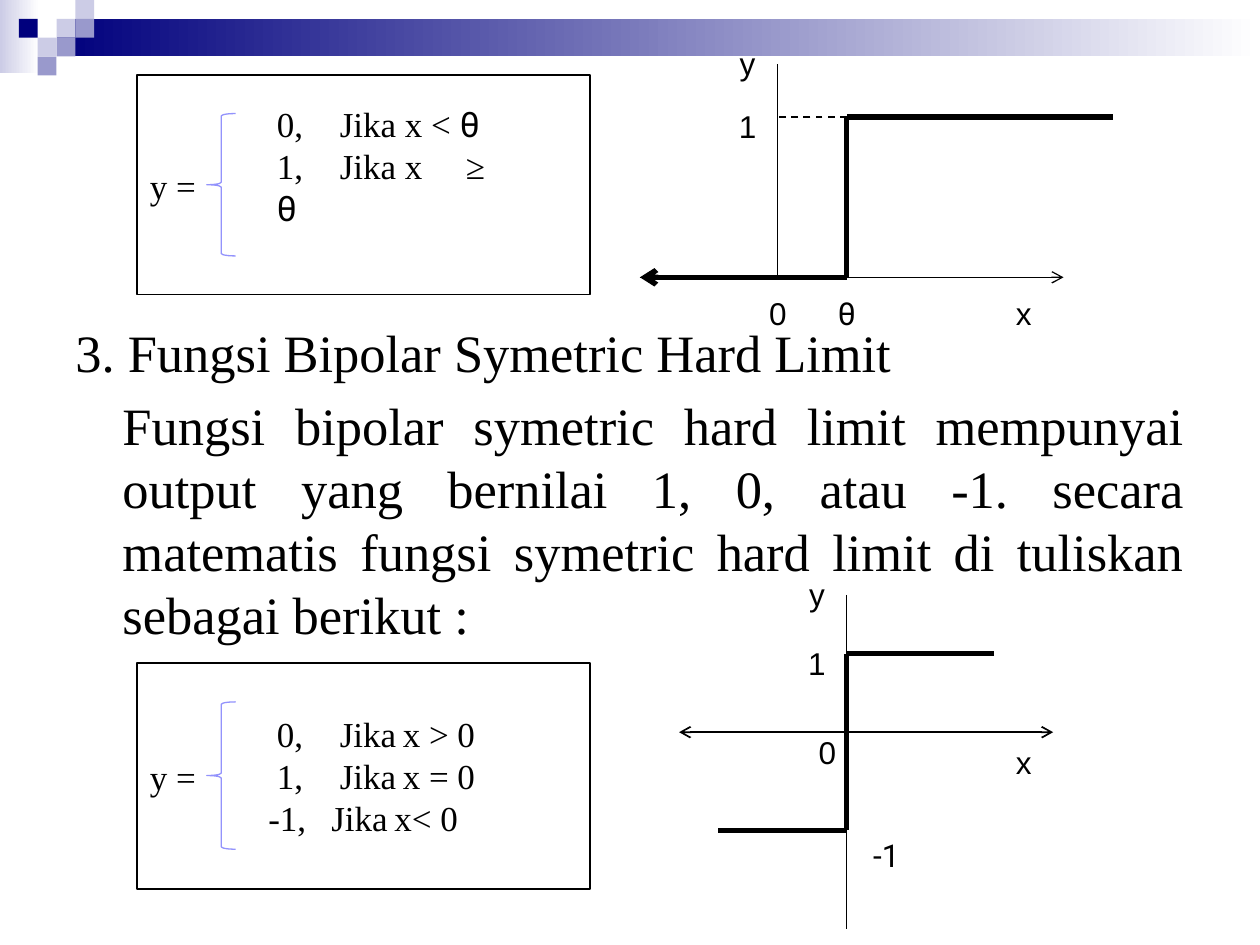
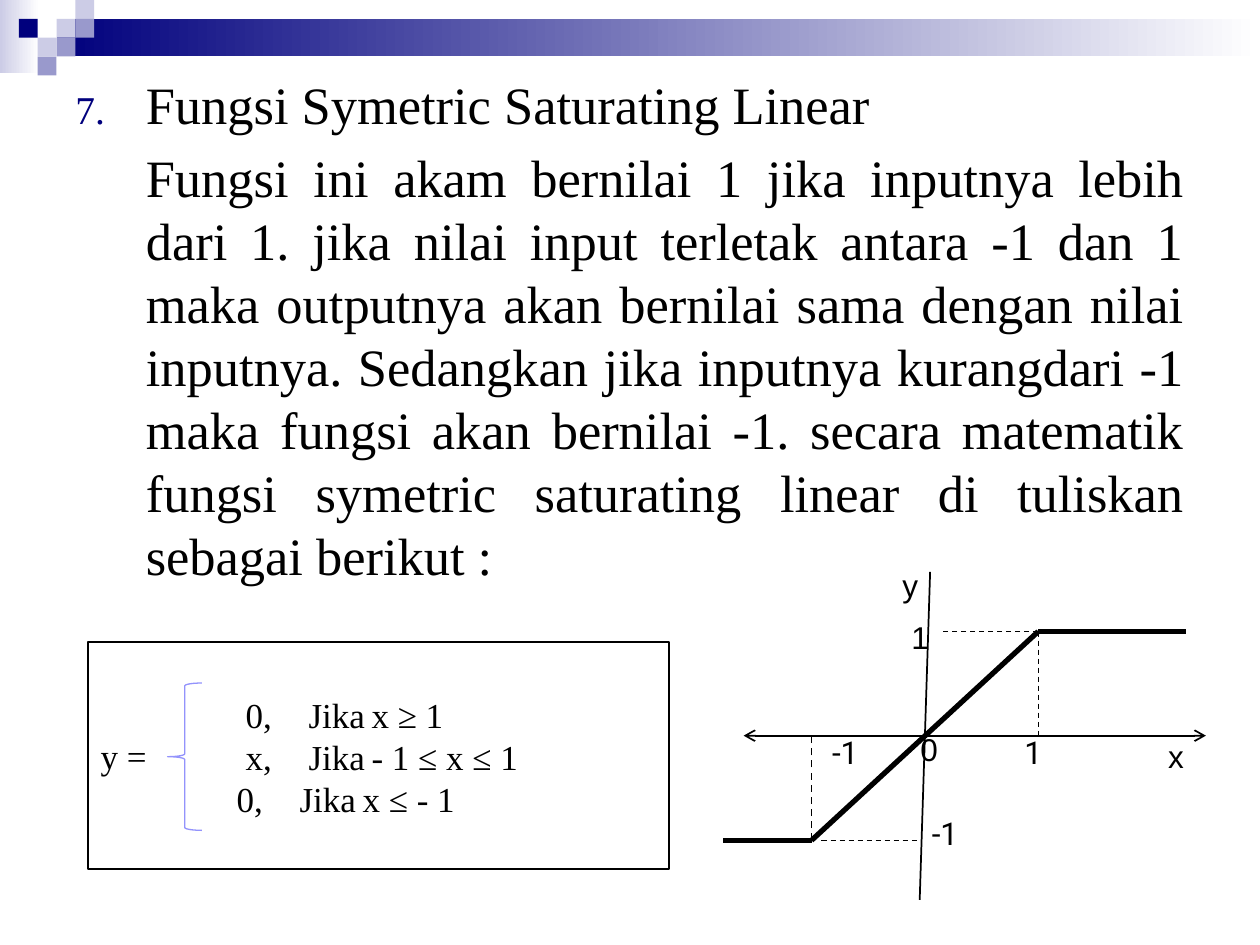
import pptx
import pptx.dml.color
import pptx.enum.dml
import pptx.enum.shapes
import pptx.enum.text
import pptx.oxml.ns
import pptx.util
from lxml import etree

Cm, Pt = pptx.util.Cm, pptx.util.Pt
RGBColor = pptx.dml.color.RGBColor
SHAPE = pptx.enum.shapes.MSO_SHAPE
ALIGN = pptx.enum.text.PP_ALIGN
qn = pptx.oxml.ns.qn

NAVY = RGBColor(0x00, 0x00, 0x7D)
LILAC = RGBColor(0x99, 0x99, 0xCC)
PALE = RGBColor(0xCC, 0xCC, 0xE6)
BRACE = RGBColor(0x93, 0x93, 0xFC)
WHITE = RGBColor(0xFF, 0xFF, 0xFF)
BLACK = RGBColor(0x00, 0x00, 0x00)

SERIF, SANS, ROBOTO = "Times New Roman", "Arial", "Roboto"
CELL = 0.38  # side of one square in the corner pattern
THIN, AXIS, CURVE = 0.75, 1, 3


class Deck:
    """Holds the shared style and the current slide."""

    def __init__(self):
        self.presentation = pptx.Presentation()
        self.presentation.slide_width = Cm(25.4)
        self.presentation.slide_height = Cm(19.05)
        self.slide = None

    def new_slide(self):
        self.slide = self.presentation.slides.add_slide(self.presentation.slide_layouts[6])
        self.shape(0, 0, 0.79, 1.47, gradient=PALE)
        self.shape(3 * CELL, CELL, 25.4 - 3 * CELL, 2 * CELL, gradient=NAVY)
        squares = [(3, 1, PALE), (4, 0, PALE), (4, 1, LILAC), (2, 2, PALE),
                   (1, 1, NAVY), (3, 2, LILAC), (2, 3, LILAC)]
        for column, row, color in squares:
            self.shape(column * CELL, row * CELL, CELL, CELL, fill=color)

    def shape(self, left, top, width, height, kind=SHAPE.RECTANGLE,
              fill=None, gradient=None, line=None, weight=THIN):
        shape = self.slide.shapes.add_shape(kind, Cm(left), Cm(top), Cm(width), Cm(height))
        shape.shadow.inherit = False
        if gradient is not None:
            shape.fill.gradient()
            shape.fill.gradient_angle = 0
            for stop, color in zip(shape.fill.gradient_stops, (gradient, WHITE)):
                stop.color.rgb = color
        elif fill is not None:
            shape.fill.solid()
            shape.fill.fore_color.rgb = fill
        else:
            shape.fill.background()
        if line is None:
            shape.line.fill.background()
        else:
            shape.line.color.rgb = line
            shape.line.width = Pt(weight)
        return shape

    def text_frame(self, left, top, width, height, middle=True):
        box = self.slide.shapes.add_textbox(Cm(left), Cm(top), Cm(width), Cm(height))
        frame = box.text_frame
        frame.word_wrap = True
        if middle:
            frame.vertical_anchor = pptx.enum.text.MSO_ANCHOR.MIDDLE
        return frame

    def style(self, paragraph, size, name=SERIF, align=ALIGN.LEFT):
        paragraph.alignment = align
        paragraph.font.size = Pt(size)
        paragraph.font.name = name
        paragraph.font.color.rgb = BLACK

    def indent(self, paragraph, left, first=0):
        properties = paragraph._p.get_or_add_pPr()
        properties.set("marL", str(Cm(left)))
        properties.set("indent", str(Cm(first)))
        return properties

    def body(self, top, height, heading, text, indent, number=None):
        frame = self.text_frame(1.27, top, 22.86, height, middle=False)
        title = frame.paragraphs[0]
        title.text = heading
        if number is not None:
            properties = self.indent(title, indent, -indent)
            color = etree.SubElement(properties, qn("a:buClr"))
            etree.SubElement(color, qn("a:srgbClr"), val=str(NAVY))
            etree.SubElement(properties, qn("a:buSzPct"), val="75000")
            etree.SubElement(properties, qn("a:buAutoNum"), type="arabicPeriod", startAt=str(number))
        self.style(title, 30)
        paragraph = frame.add_paragraph()
        paragraph.text = text
        self.indent(paragraph, indent)
        paragraph.space_before = Pt(6)
        self.style(paragraph, 30, align=ALIGN.JUSTIFY)

    def formula(self, box, brace, cases, rows, bottom_inset=0.13):
        """Framed "y =" with a brace; each row is (indent, tab stops, text)."""
        frame = self.shape(*box, fill=WHITE, line=BLACK, weight=1).text_frame
        frame.paragraphs[0].text = "y ="
        self.style(frame.paragraphs[0], 20)
        self.shape(*brace, kind=SHAPE.LEFT_BRACE, line=BRACE)
        frame = self.text_frame(*cases)
        frame.margin_bottom = Cm(bottom_inset)
        for index, (left, stops, text) in enumerate(rows):
            paragraph = frame.add_paragraph() if index else frame.paragraphs[0]
            before, theta, _ = text.partition("θ")
            paragraph.add_run().text = before
            tabs = etree.SubElement(self.indent(paragraph, left), qn("a:tabLst"))
            for stop in stops:
                etree.SubElement(tabs, qn("a:tab"), pos=str(Cm(stop)), algn="l")
            self.style(paragraph, 20)
            if theta:
                run = paragraph.add_run()
                run.text = theta
                run.font.name = ROBOTO

    def line(self, start, end, weight=THIN, dash=False, head=False, tail=False):
        connector = self.slide.shapes.add_connector(
            pptx.enum.shapes.MSO_CONNECTOR.STRAIGHT, *map(Cm, start + end))
        connector.line.color.rgb = BLACK
        connector.line.width = Pt(weight)
        if dash:
            connector.line.dash_style = pptx.enum.dml.MSO_LINE.DASH
        outline = connector.line._get_or_add_ln()
        for wanted, tag in ((head, "a:headEnd"), (tail, "a:tailEnd")):
            if wanted:
                etree.SubElement(outline, qn(tag), type="arrow")
        etree.SubElement(connector._element.spPr, qn("a:effectLst"))

    def curve(self, *points):
        for start, end in zip(points, points[1:]):
            self.line(start, end, CURVE)

    def label(self, text, x, y, name=SANS, width=0.79, height=0.71):
        """Axis label centred on (x, y)."""
        frame = self.text_frame(x - width / 2, y - height / 2, width, height)
        frame.margin_left = frame.margin_right = frame.margin_top = frame.margin_bottom = 0
        frame.paragraphs[0].text = text
        self.style(frame.paragraphs[0], 18, name, ALIGN.CENTER)


def hard_limit_slide(deck):
    deck.new_slide()
    deck.body(6.32, 7.01, "3. Fungsi Bipolar Symetric Hard Limit",
              "Fungsi bipolar symetric hard limit mempunyai output yang bernilai 1, 0, atau -1. "
              "secara matematis fungsi symetric hard limit di tuliskan sebagai berikut :", 0.95)

    # Threshold function
    deck.formula((2.77, 1.52, 9.12, 4.42), (4.17, 2.29, 0.58, 2.87), (5.16, 2.29, 4.95, 2.87),
                 [(0.17, [1.05], "0,\tJika x < θ"),
                  (0.17, [1.05, 3.07], "1,\tJika x\t≥ θ")], bottom_inset=0.89)
    theta, zero, one = 17.07, 5.59, 2.36
    deck.line((15.67, 1.3), (15.67, zero))
    deck.line((12.9, zero), (21.44, zero), tail=True)
    deck.curve((22.43, one), (theta, one), (theta, zero))
    deck.line((theta, zero), (12.9, zero), CURVE, tail=True)
    deck.line((theta, one), (15.67, one), AXIS, dash=True)
    for text, x, y in [("y", 15.07, 1.27), ("1", 15.07, 2.54), ("0", 15.68, 6.3), ("x", 20.64, 6.3)]:
        deck.label(text, x, y)
    deck.label("θ", theta, 6.3, ROBOTO)

    # Bipolar function
    deck.formula((2.77, 13.36, 9.12, 4.57), (4.17, 14.15, 0.58, 2.97), (5.16, 14.15, 4.95, 2.97),
                 [(0.17, [1.05, 2.57], "0,\tJika\tx > 0"),
                  (0.17, [1.05, 2.57], "1,\tJika\tx = 0"),
                  (0, [1.12, 2.6], "-1,\tJika\tx< 0")])
    origin, high, low = 17.07, 13.18, 16.74
    deck.line((origin, 11.99), (origin, 18.72))
    deck.curve((20.04, high), (origin, high), (origin, low), (14.48, low))
    deck.line((13.69, 14.76), (21.23, 14.76), AXIS, head=True, tail=True)
    for text, x, y in [("y", 16.47, 11.98), ("1", 16.47, 13.37), ("0", 16.68, 15.15), ("x", 20.64, 15.35)]:
        deck.label(text, x, y)
    deck.label("-1", 17.87, 17.23, ROBOTO, width=1.19)


def saturating_slide(deck):
    deck.new_slide()
    deck.body(1.32, 10.8, "Fungsi Symetric Saturating Linear",
              "Fungsi ini akam bernilai 1 jika inputnya lebih dari 1. jika nilai input terletak "
              "antara -1 dan 1 maka outputnya akan bernilai sama dengan nilai inputnya. Sedangkan "
              "jika inputnya kurangdari -1 maka fungsi akan bernilai -1. secara matematik fungsi "
              "symetric saturating linear di tuliskan sebagai berikut :", 1.42, number=7)

    deck.formula((1.78, 12.95, 11.71, 4.57), (3.38, 13.77, 0.69, 2.97), (4.52, 13.77, 8.18, 2.97),
                 [(0.18, [2.48, 3.97], "0,\tJika\tx ≥ 1"),
                  (0.18, [2.3, 3.79], "x,\tJika\t- 1 ≤ x ≤ 1"),
                  (0, [2.48, 3.97], "0,\tJika\tx ≤ - 1")])

    # Saturating curve with its axes and guides
    right, left, high, low, zero = 20.93, 16.36, 12.73, 16.94, 14.83
    deck.curve((23.9, high), (right, high), (left, low), (14.58, low))
    deck.line((14.99, zero), (24.31, zero), AXIS, head=True, tail=True)
    deck.line((18.75, 11.53), (18.54, 18.14), AXIS)
    deck.line((right, high), (18.95, high), dash=True)
    deck.line((right, high), (right, zero), dash=True)
    deck.line((left, low), (left, zero), AXIS, dash=True)
    deck.line((16.56, low), (18.54, low), dash=True)
    for text, x, y in [("y", 18.35, 11.8), ("1", 18.55, 12.84), ("0", 18.73, 15.1), ("x", 23.71, 15.23)]:
        deck.label(text, x, y, height=0.53)
    for text, x, y in [("1", 20.83, 15.16), ("-1", 17.04, 15.16), ("-1", 19.05, 16.79)]:
        deck.label(text, x, y, ROBOTO, width=1.78, height=0.41)


def main():
    deck = Deck()
    hard_limit_slide(deck)
    saturating_slide(deck)
    deck.presentation.save("out.pptx")


if __name__ == "__main__":
    main()
